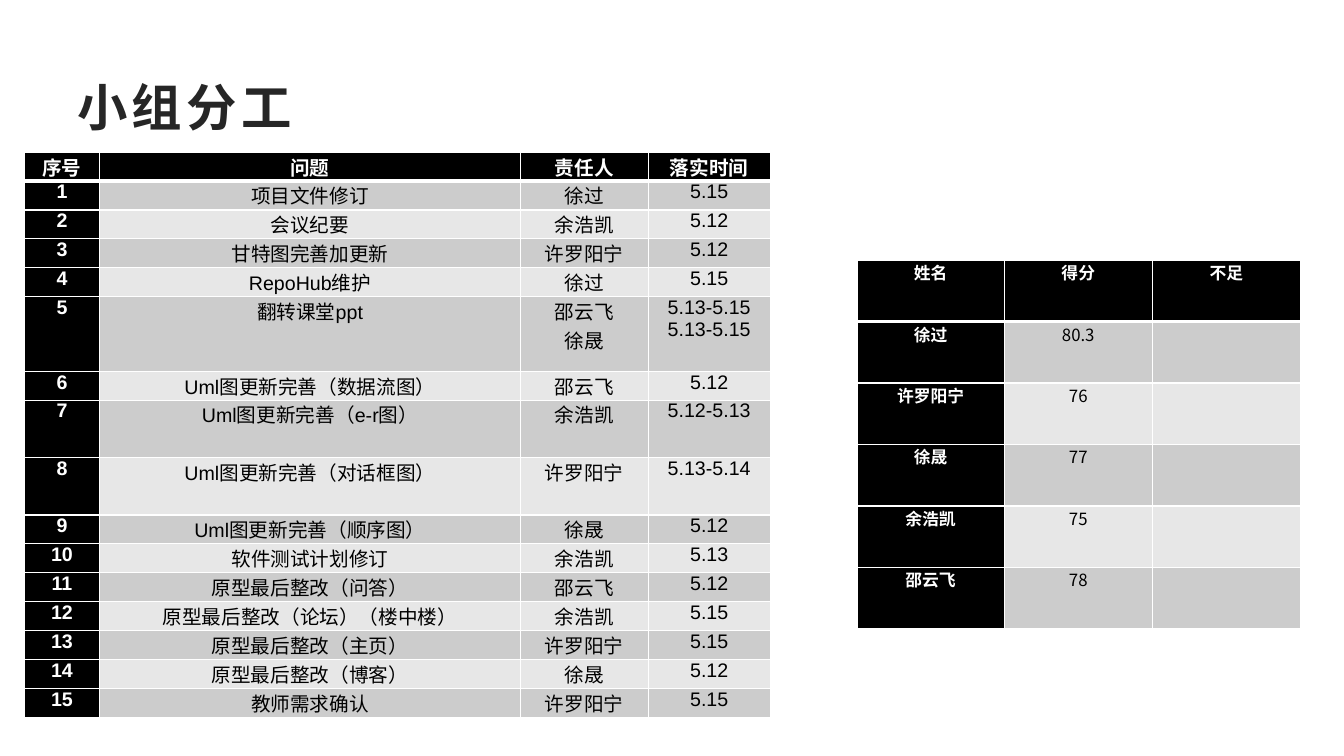
from dataclasses import dataclass

from lxml import etree
from pptx import Presentation
from pptx import util as u
from pptx.dml.color import RGBColor
from pptx.enum import text
from pptx.oxml import ns

COLORS = {
    "title": "262626",
    "head": "000000",
    "band_dark": "CCCCCC",
    "band_light": "E7E7E7",
    "line": "FFFFFF",
    "head_text": "FFFFFF",
    "body_text": "000000",
}
CJK_FONT = "Noto Sans CJK SC"


@dataclass
class Grid:
    left: float
    top: float
    widths: list[float]
    heights: list[float]
    rows: list[tuple[str, ...]]
    size: int
    head_font: str
    key_font: str
    body_font: str


def color(name: str) -> RGBColor:
    return RGBColor.from_string(COLORS[name])


def add_run(paragraph, wording: str, size: int, font: str, ink: str, bold: bool):
    run = paragraph.add_run()
    run.text = wording
    for key, value in {"name": font, "size": u.Pt(size), "bold": bold}.items():
        setattr(run.font, key, value)
    run.font.color.rgb = color(ink)
    east_asian = etree.SubElement(run.font._element, ns.qn("a:ea"))
    east_asian.set("typeface", CJK_FONT)
    return run


def add_borders(cell, row: int) -> None:
    props = cell._tc.get_or_add_tcPr()
    widths = {"L": 1, "R": 1, "T": 3 if row == 1 else 1, "B": 3 if row == 0 else 1}
    for side, width in widths.items():
        line = etree.SubElement(props, ns.qn(f"a:ln{side}"), w=str(u.Pt(width)))
        fill = etree.SubElement(line, ns.qn("a:solidFill"))
        etree.SubElement(fill, ns.qn("a:srgbClr"), val=COLORS["line"])


def draw_grid(slide, grid: Grid) -> None:
    frame = slide.shapes.add_table(
        len(grid.rows), len(grid.widths), u.Inches(grid.left), u.Inches(grid.top),
        u.Inches(sum(grid.widths)), u.Inches(sum(grid.heights)),
    )
    table = frame.table
    for column, width in zip(table.columns, grid.widths):
        column.width = u.Inches(width)
    cell_format = {
        "margin_left": u.Inches(0.07), "margin_right": u.Inches(0.07),
        "margin_top": 0, "margin_bottom": 0,
    }
    for r, (wordings, height) in enumerate(zip(grid.rows, grid.heights)):
        table.rows[r].height = u.Inches(height)
        for c, wording in enumerate(wordings):
            cell = table.cell(r, c)
            for key, value in cell_format.items():
                setattr(cell, key, value)
            add_borders(cell, r)
            is_head = r == 0 or c == 0
            band = "band_dark" if r % 2 else "band_light"
            cell.fill.solid()
            cell.fill.fore_color.rgb = color("head" if is_head else band)
            if not wording:
                continue
            font = grid.head_font if r == 0 else grid.key_font if c == 0 else grid.body_font
            ink = "head_text" if is_head else "body_text"
            for i, part in enumerate(wording.split("\n")):
                frame_text = cell.text_frame
                paragraph = frame_text.add_paragraph() if i else frame_text.paragraphs[0]
                paragraph.alignment = text.PP_ALIGN.CENTER
                add_run(paragraph, part, grid.size, font, ink, is_head)


TASKS = [
    ("项目文件修订", "徐过", "5.15"),
    ("会议纪要", "余浩凯", "5.12"),
    ("甘特图完善加更新", "许罗阳宁", "5.12"),
    ("RepoHub维护", "徐过", "5.15"),
    ("翻转课堂ppt", "邵云飞\n徐晟", "5.13-5.15\n5.13-5.15"),
    ("Uml图更新完善（数据流图）", "邵云飞", "5.12"),
    ("Uml图更新完善（e-r图）", "余浩凯", "5.12-5.13"),
    ("Uml图更新完善（对话框图）", "许罗阳宁", "5.13-5.14"),
    ("Uml图更新完善（顺序图）", "徐晟", "5.12"),
    ("软件测试计划修订", "余浩凯", "5.13"),
    ("原型最后整改（问答）", "邵云飞", "5.12"),
    ("原型最后整改（论坛）（楼中楼）", "余浩凯", "5.15"),
    ("原型最后整改（主页）", "许罗阳宁", "5.15"),
    ("原型最后整改（博客）", "徐晟", "5.12"),
    ("教师需求确认", "许罗阳宁", "5.15"),
]
SCORES = [("徐过", "80.3"), ("许罗阳宁", "76"), ("徐晟", "77"), ("余浩凯", "75"), ("邵云飞", "78")]

task_rows = [("序号", "问题", "责任人", "落实时间")]
task_rows += [(str(number), *task) for number, task in enumerate(TASKS, 1)]
tall_rows = {5: 0.74, 7: 0.57, 8: 0.57}
plain_height = (5.61 - sum(tall_rows.values())) / (len(task_rows) - len(tall_rows))
task_heights = [tall_rows.get(r, plain_height) for r in range(len(task_rows))]

score_rows = [("姓名", "得分", "不足")] + [(name, score, "") for name, score in SCORES]

presentation = Presentation()
presentation.slide_width = u.Inches(13.33)
presentation.slide_height = u.Inches(7.5)
slide = presentation.slides.add_slide(presentation.slide_layouts[6])

heading = slide.shapes.add_textbox(
    u.Inches(0.67), u.Inches(0.67), u.Inches(12), u.Inches(0.77)
).text_frame
heading.word_wrap = True
heading.vertical_anchor = text.MSO_ANCHOR.MIDDLE
heading_run = add_run(heading.paragraphs[0], "小组分工", 36, "Arial", "title", True)
heading_run.font._element.set("spc", "300")

draw_grid(slide, Grid(8.5, 2.58, [1.46, 1.47, 1.47], [0.61] * len(score_rows),
                      score_rows, 12, "Arial", "Calibri", CJK_FONT))
draw_grid(slide, Grid(0.24, 1.51, [0.75, 4.17, 1.27, 1.21], task_heights,
                      task_rows, 14, "Arial", "Arial", "Arial"))

presentation.save("out.pptx")
